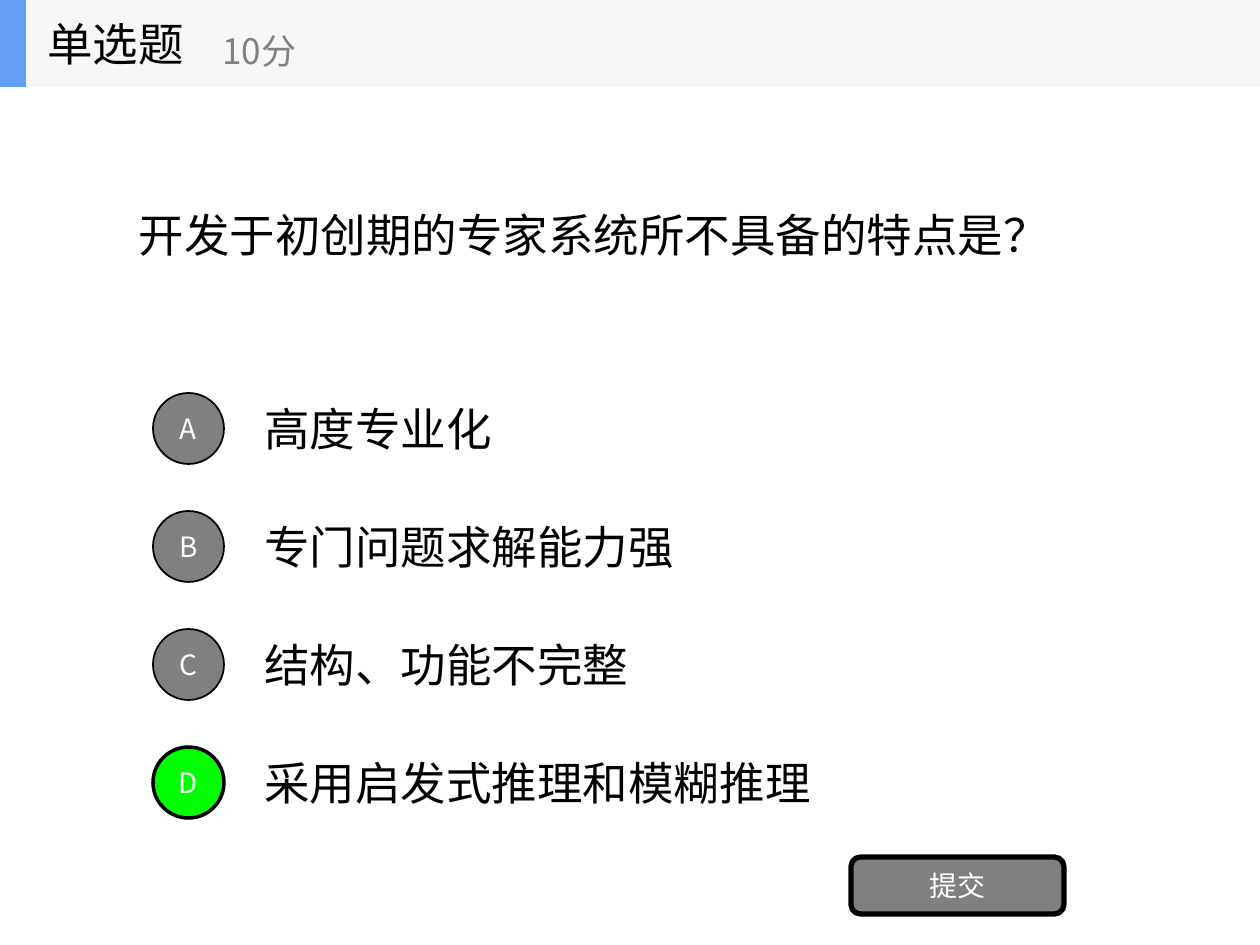
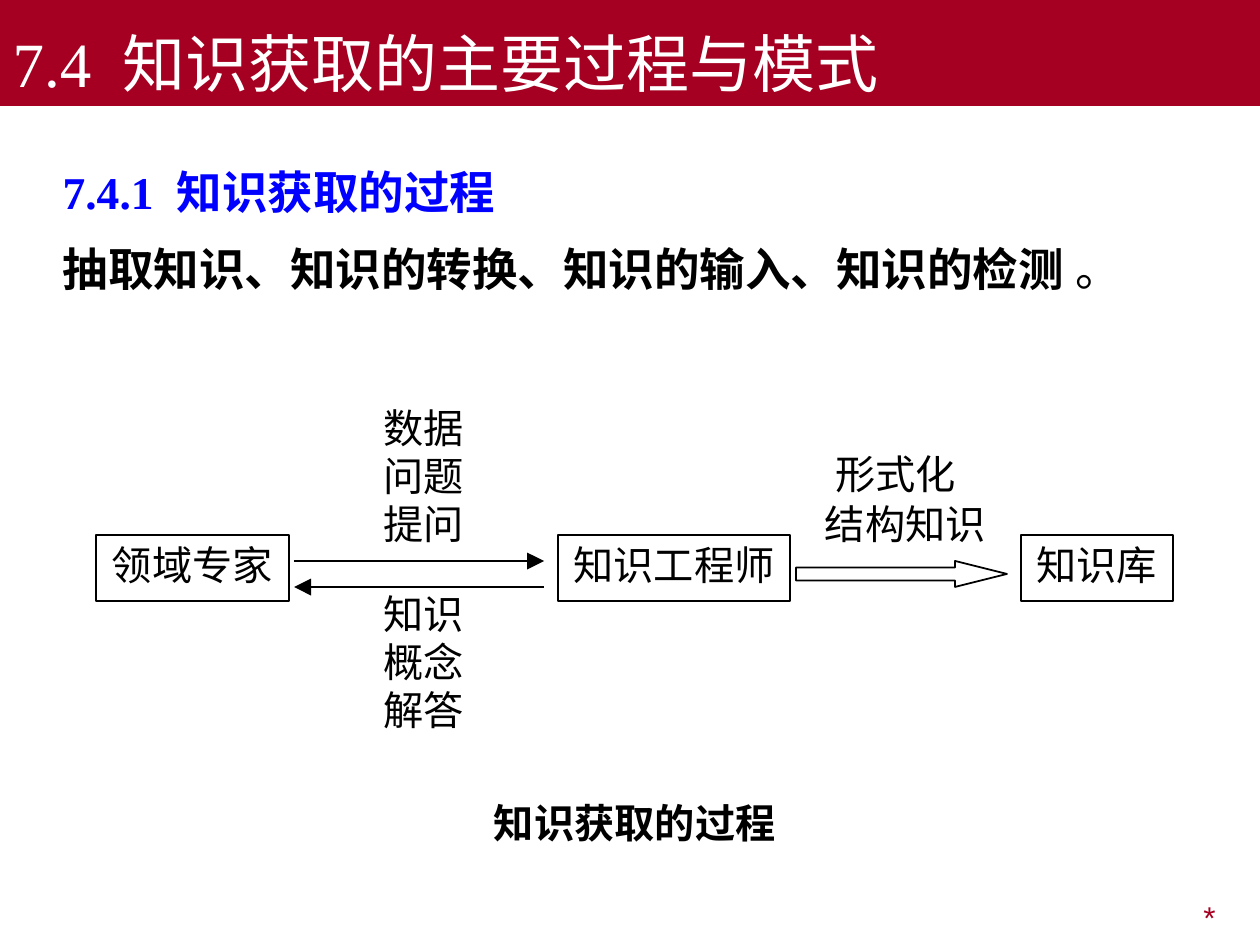
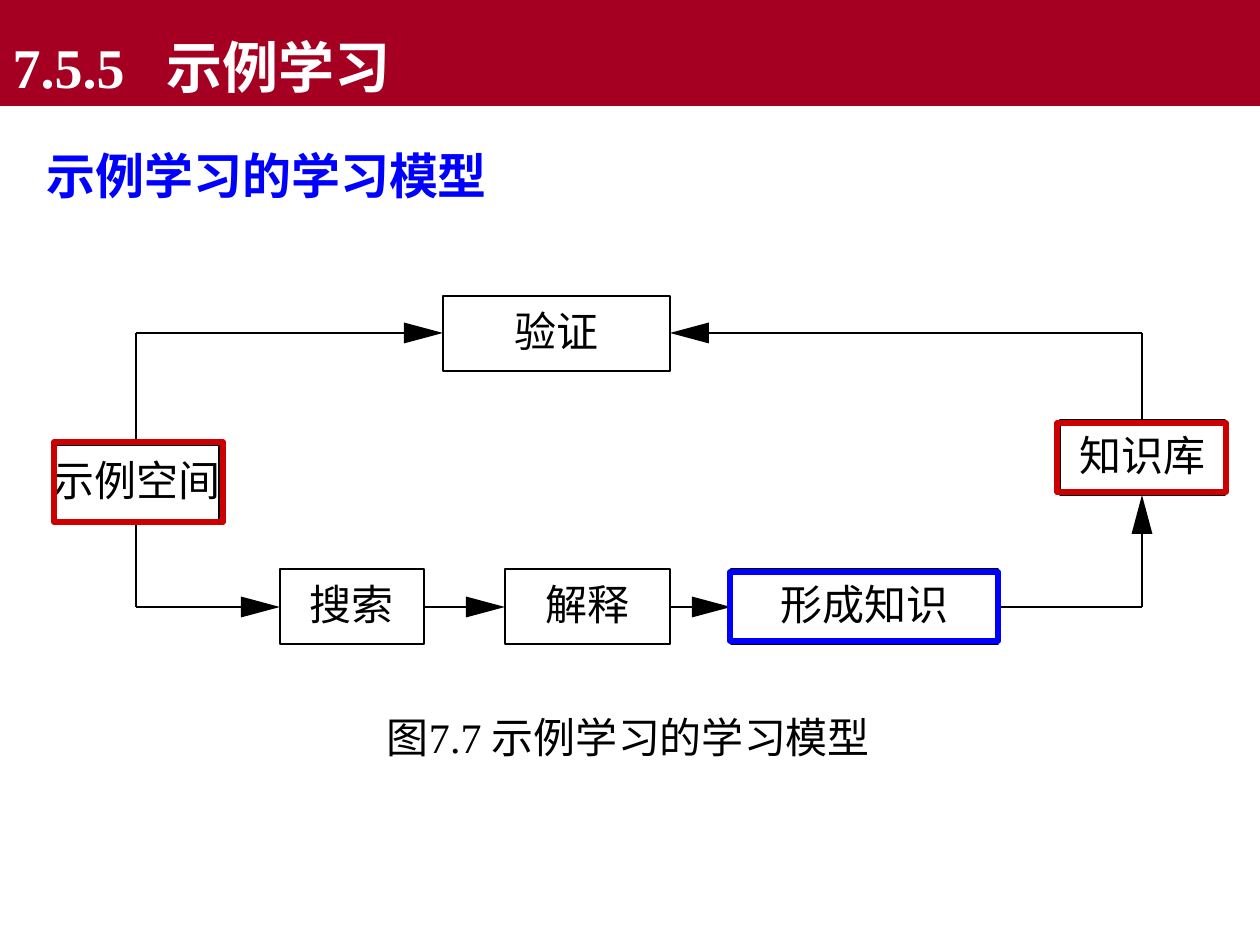
"""Build three course slides on expert systems and knowledge acquisition."""
from dataclasses import dataclass
from itertools import pairwise

from pptx import Presentation
from pptx.dml.color import RGBColor
from pptx.enum.shapes import MSO_CONNECTOR as Connector, MSO_SHAPE as Shape
from pptx.enum.text import MSO_ANCHOR as Anchor, MSO_AUTO_SIZE as AutoSize, PP_ALIGN as Align
from pptx.oxml.ns import qn
from pptx.util import Emu, Pt

SANS, SERIF, LATIN = "Noto Sans CJK SC", "Times New Roman", "Arial"


@dataclass(frozen=True)
class Theme:
    black: str = "000000"
    white: str = "FFFFFF"
    grey: str = "808080"
    crimson: str = "A50021"
    red: str = "CC0000"
    blue: str = "0000FF"
    green: str = "00FF00"
    pale: str = "F6F7F8"
    accent: str = "639EF4"


THEME = Theme()
STYLES = {
    "question": (SANS, 26, False, THEME.black),
    "points": (SANS, 20, False, THEME.grey),
    "button": (SANS, 16, False, THEME.white),
    "chapter": (SERIF, 36, False, THEME.white),
    "section": (SERIF, 32, True, THEME.white),
    "heading": (SERIF, 26, True, THEME.blue),
    "steps": (SERIF, 26, True, THEME.black),
    "stop": (SERIF, 26, False, THEME.black),
    "model": (LATIN, 28, True, THEME.blue),
    "process": (SANS, 23, False, THEME.black),
    "process caption": (SANS, 23, True, THEME.black),
    "node": (SERIF, 24, False, THEME.black),
    "footer": (LATIN, 18, False, THEME.crimson),
}

QUIZ = {
    "kind": "单选题",
    "points": "10分",
    "question": "开发于初创期的专家系统所不具备的特点是？",
    "options": ["高度专业化", "专门问题求解能力强", "结构、功能不完整", "采用启发式推理和模糊推理"],
    "answer": 3,
    "submit": "提交",
}

PROCESS = {
    "title": "7.4  知识获取的主要过程与模式",
    "body": [
        [("7.4.1  知识获取的过程", "heading")],
        [("抽取知识、知识的转换、知识的输入、知识的检测", "steps"), (" 。", "stop")],
    ],
    "roles": [
        ("领域专家", (96, 535, 193, 66)),
        ("知识工程师", (558, 535, 232, 66)),
        ("知识库", (1021, 535, 152, 66)),
    ],
    "exchanges": [(403, ["数据", "问题", "提问"]), (589, ["知识", "概念", "解答"])],
    "formalizing": [("形式化", (835, 449, 121, 48)), ("结构知识", (825, 499, 161, 48))],
    "routes": [[(294, 561), (544, 561)], [(544, 587), (294, 587)]],
    "caption": "知识获取的过程",
    "footer": "*",
}

MODEL = {
    "title": "7.5.5   示例学习",
    "body": [[("示例学习的学习模型", "model")]],
    "nodes": [
        ("示例空间", (54, 445, 165, 75)),
        ("验证", (443, 296, 227, 75)),
        ("搜索", (280, 569, 144, 75)),
        ("解释", (505, 569, 165, 75)),
        ("形成知识", (731, 569, 267, 75)),
        ("知识库", (1060, 420, 165, 75)),
    ],
    "routes": [
        [(136, 520), (136, 607), (280, 607)],
        [(424, 607), (505, 607)],
        [(670, 607), (731, 607)],
        [(998, 607), (1142, 607), (1142, 495)],
        [(136, 445), (136, 333), (443, 333)],
        [(1142, 420), (1142, 333), (670, 333)],
    ],
    "frames": [
        ((54, 442, 169, 80), THEME.red),
        ((1057, 423, 169, 69), THEME.red),
        ((730, 572, 268, 69), THEME.blue),
    ],
    "caption": "图7.7 示例学习的学习模型",
}


def px(length):
    """Turn pixels into EMU."""
    return Emu(round(length * 914400 / 126))


def apply(target, **values):
    """Set each named attribute on the target."""
    for name, value in values.items():
        setattr(target, name, value)


def write(frame, paragraphs, align=Align.LEFT, spacing=None, inset=None, **frame_values):
    """Fill a text frame with paragraphs of (text, style) runs."""
    apply(frame, **{"auto_size": AutoSize.NONE, "word_wrap": True, **frame_values})
    if inset is not None:
        left, top, right, bottom = map(px, inset)
        apply(frame, margin_left=left, margin_top=top, margin_right=right, margin_bottom=bottom)
    for index, runs in enumerate(paragraphs):
        paragraph = frame.add_paragraph() if index else frame.paragraphs[0]
        apply(paragraph, alignment=align, line_spacing=spacing, space_before=Pt(0))
        for text, style in runs:
            run = paragraph.add_run()
            run.text = text
            name, size, bold, color = STYLES[style]
            apply(run.font, name=name, size=Pt(size), bold=bold)
            run.font.color.rgb = RGBColor.from_string(color)


def paint(shape, fill=None, line=None, width=1):
    """Give a shape its fill and outline and drop its shadow."""
    shape.shadow.inherit = False
    if fill:
        shape.fill.solid()
        shape.fill.fore_color.rgb = RGBColor.from_string(fill)
    else:
        shape.fill.background()
    if line:
        shape.line.color.rgb = RGBColor.from_string(line)
        shape.line.width = Pt(width)
    else:
        shape.line.fill.background()


def add_block(slide, kind, place, **look):
    """Add a painted preset shape."""
    block = slide.shapes.add_shape(kind, *map(px, place))
    paint(block, **look)
    return block


def add_label(slide, text, style, place, **values):
    """Add a one-line text box."""
    box = slide.shapes.add_textbox(*map(px, place))
    write(box.text_frame, [[(text, style)]], **{"vertical_anchor": Anchor.MIDDLE, **values})


def add_tag(slide, text, style, place):
    """Add a centred label without margins."""
    add_label(slide, text, style, place, align=Align.CENTER, inset=(0, 0, 0, 0), word_wrap=False)


def add_node(slide, text, style, place, width, lift):
    """Add an outlined box whose text sits slightly above its middle."""
    node = add_block(slide, Shape.RECTANGLE, place, line=THEME.black, width=width)
    write(node.text_frame, [[(text, style)]], Align.CENTER, inset=(0, 0, 0, lift),
          word_wrap=False, vertical_anchor=Anchor.MIDDLE)


def add_route(slide, stops, head, width):
    """Draw a right-angled route that ends in a solid arrowhead."""
    length, breadth = head
    (x0, y0), (x, y) = stops[-2:]
    dx, dy = (x > x0) - (x < x0), (y > y0) - (y < y0)
    neck = (x - dx * length, y - dy * length)
    for start, end in pairwise([*stops[:-1], neck]):
        segment = slide.shapes.add_connector(Connector.STRAIGHT, *map(px, start + end))
        segment.line.color.rgb = RGBColor.from_string(THEME.black)
        segment.line.width = Pt(width)
        properties = segment._element.spPr
        properties.append(properties.makeelement(qn("a:effectLst"), {}))
    corners = [(neck[0] + side * dy * breadth / 2, neck[1] + side * dx * breadth / 2)
               for side in (-1, 1)]
    outline = slide.shapes.build_freeform(px(x), px(y))
    outline.add_line_segments([tuple(map(px, corner)) for corner in corners], close=True)
    paint(outline.convert_to_shape(), fill=THEME.black)


def place_holder(holder, place):
    """Move a placeholder."""
    left, top, width, height = map(px, place)
    apply(holder, left=left, top=top, width=width, height=height)


def add_lecture_slide(deck, content, title_style, body_place, spacing):
    """Add a slide with the crimson title band and an unbulleted body."""
    slide = deck.slides.add_slide(deck.slide_layouts[1])
    title, body = slide.placeholders
    place_holder(title, (0, 0, 1260, 106))
    title.fill.solid()
    title.fill.fore_color.rgb = RGBColor.from_string(THEME.crimson)
    write(title.text_frame, [[(content["title"], title_style)]], vertical_anchor=Anchor.BOTTOM)
    place_holder(body, body_place)
    write(body.text_frame, content["body"], spacing=spacing, vertical_anchor=Anchor.TOP)
    for paragraph in body.text_frame.paragraphs:
        properties = paragraph._p.get_or_add_pPr()
        properties.set("marL", "0")
        properties.set("indent", "0")
        properties.append(properties.makeelement(qn("a:buNone"), {}))
    return slide


def build_quiz(deck):
    """Build the single-choice question."""
    slide = deck.slides.add_slide(deck.slide_layouts[5])
    question = slide.shapes.title
    place_holder(question, (126, 87, 1008, 295))
    write(question.text_frame, [[(QUIZ["question"], "question")]], vertical_anchor=Anchor.MIDDLE)
    centred = {"align": Align.CENTER, "vertical_anchor": Anchor.MIDDLE}
    for index, option in enumerate(QUIZ["options"]):
        top = 384 + 118 * index
        chosen = index == QUIZ["answer"]
        add_label(slide, option, "question", (252, top, 882, 88))
        badge = add_block(slide, Shape.OVAL, (153, top + 9, 71, 71), line=THEME.black,
                          fill=THEME.green if chosen else THEME.grey, width=2 if chosen else 1)
        write(badge.text_frame, [[("ABCD"[index], "button")]], **centred)
    submit = add_block(slide, Shape.ROUNDED_RECTANGLE, (851, 857, 213, 57),
                       fill=THEME.grey, line=THEME.black, width=3)
    write(submit.text_frame, [[(QUIZ["submit"], "button")]], **centred)
    add_block(slide, Shape.RECTANGLE, (0, 0, 1260, 87), fill=THEME.pale)
    add_block(slide, Shape.RECTANGLE, (0, 0, 26, 87), fill=THEME.accent)
    add_label(slide, QUIZ["kind"], "question", (35, 0, 262, 87))
    add_label(slide, QUIZ["points"], "points", (210, 15, 315, 71))


def build_process(deck):
    """Build the knowledge acquisition process."""
    slide = add_lecture_slide(deck, PROCESS, "chapter", (50, 136, 1137, 166), 1.4)
    add_label(slide, PROCESS["footer"], "footer", (955, 892, 273, 49),
              align=Align.RIGHT, vertical_anchor=Anchor.TOP)
    for role, place in PROCESS["roles"]:
        add_node(slide, role, "process", place, 1, 8)
    for top, words in PROCESS["exchanges"]:
        for row, word in enumerate(words):
            add_tag(slide, word, "process", (383, top + 48 * row, 81, 48))
    for text, place in PROCESS["formalizing"]:
        add_tag(slide, text, "process", place)
    for stops in PROCESS["routes"]:
        add_route(slide, stops, (17, 17), 1)
    storing = add_block(slide, Shape.RIGHT_ARROW, (796, 561, 211, 26), line=THEME.black)
    storing.adjustments[0], storing.adjustments[1] = 0.5, 2
    add_tag(slide, PROCESS["caption"], "process caption", (494, 798, 282, 48))


def build_model(deck):
    """Build the model of learning from examples."""
    slide = add_lecture_slide(deck, MODEL, "section", (34, 127, 1191, 745), 1.2)
    for text, place in MODEL["nodes"]:
        add_node(slide, text, "node", place, 1.5, 6)
    for stops in MODEL["routes"]:
        add_route(slide, stops, (39, 21), 1.5)
    add_tag(slide, MODEL["caption"], "node", (377, 712, 503, 50))
    for place, color in MODEL["frames"]:
        add_block(slide, Shape.RECTANGLE, place, line=color, width=3)


def main():
    """Build and save the deck."""
    deck = Presentation()
    apply(deck, slide_width=px(1260), slide_height=px(945))
    for build in (build_quiz, build_process, build_model):
        build(deck)
    deck.save("out.pptx")


if __name__ == "__main__":
    main()
